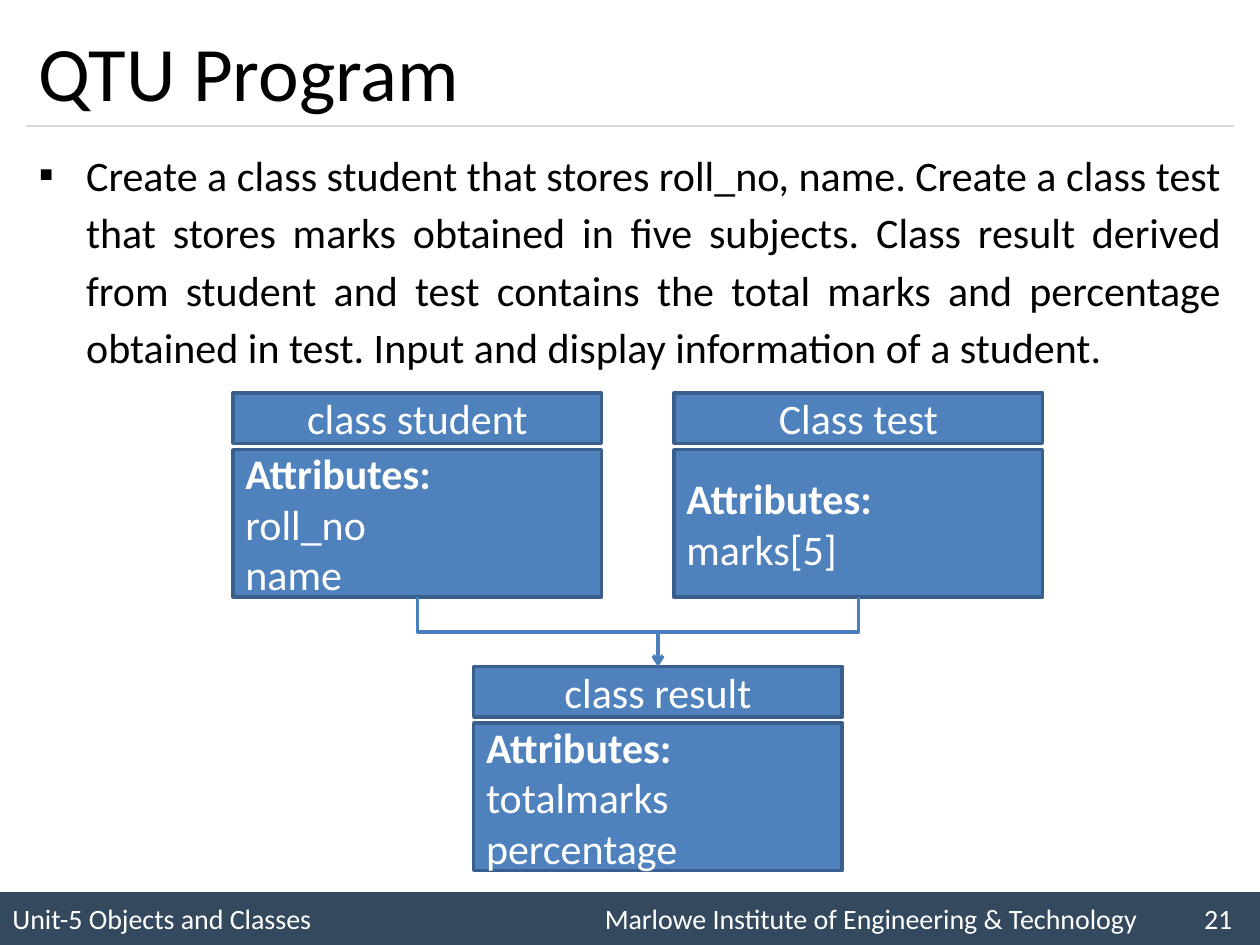
from lxml import etree
from pptx import Presentation
from pptx import util as u
from pptx.dml.color import RGBColor
from pptx.enum import shapes, text
from pptx.oxml import ns

Pt = u.Pt
COLORS = {
    "ink": "000000", "paper": "FFFFFF", "bar": "34495E", "rule": "D9D9D9",
    "box": "4F81BD", "border": "3A5F8C", "link": "4B7EBC",
}
MARGIN, CONTENT_WIDTH = 15.1, 689.8
BOX_WIDTH, HEADER_HEIGHT, BODY_HEIGHT, BODY_OFFSET = 210.6, 28.8, 84.2, 32.4
PARENT_TOP, RESULT_TOP = 224.6, 380.9


def rgb(name):
    return RGBColor.from_string(COLORS[name])


def child(parent, tag, **attributes):
    return etree.SubElement(parent, ns.qn(tag), **attributes)


def style(paragraph, size, color, bold=False):
    for run in paragraph.runs:
        run.font.name = "Calibri"
        run.font.size = Pt(size)
        run.font.color.rgb = rgb(color)
        run.font.bold = bold


def add_text(slide, top, height, content, size, anchor):
    area = slide.shapes.add_textbox(Pt(MARGIN), Pt(top), Pt(CONTENT_WIDTH), Pt(height))
    frame = area.text_frame
    frame.word_wrap = True
    frame.vertical_anchor = anchor
    frame.text = content
    style(frame.paragraphs[0], size, "ink")
    return frame.paragraphs[0]


def add_question(slide, content):
    question = add_text(slide, 77.8, 149.8, content, 24, text.MSO_ANCHOR.TOP)
    question.alignment = text.PP_ALIGN.JUSTIFY
    question.line_spacing = 1.14
    question.space_before = Pt(4.8)
    properties = question._p.get_or_add_pPr()
    properties.set("marL", str(Pt(27)))
    properties.set("indent", str(-Pt(27)))
    child(properties, "a:buFont", typeface="Wingdings")
    properties[-1].set("typeface", "Calibri")
    child(properties, "a:buChar", char="▪")


def add_block(slide, left, top, width, height, fill, border=None):
    block = slide.shapes.add_shape(
        shapes.MSO_SHAPE.RECTANGLE, Pt(left), Pt(top), Pt(width), Pt(height))
    block.shadow.inherit = False
    block.fill.solid()
    block.fill.fore_color.rgb = rgb(fill)
    if border:
        block.line.color.rgb = rgb(border)
        block.line.width = Pt(2)
    else:
        block.line.fill.background()
    block.text_frame.word_wrap = True
    block.text_frame.vertical_anchor = text.MSO_ANCHOR.MIDDLE
    return block.text_frame


def add_class(slide, left, top, title, attributes):
    body = add_block(slide, left, top + BODY_OFFSET, BOX_WIDTH, BODY_HEIGHT, "box", "border")
    body.text = "\n".join(["Attributes:"] + attributes)
    for index, paragraph in enumerate(body.paragraphs):
        paragraph.alignment = text.PP_ALIGN.LEFT
        style(paragraph, 24, "paper", bold=index == 0)
    header = add_block(slide, left, top, BOX_WIDTH, HEADER_HEIGHT, "box", "border")
    header.text = title
    header.paragraphs[0].alignment = text.PP_ALIGN.CENTER
    style(header.paragraphs[0], 24, "paper")


def add_line(slide, kind, start, end, color, width):
    line = slide.shapes.add_connector(kind, *(Pt(value) for value in start + end))
    line.line.color.rgb = rgb(color)
    line.line.width = Pt(width)
    child(line._element.spPr, "a:effectLst")
    return line


def add_inheritance(slide, parent_left, result_left):
    x1, x2 = parent_left + BOX_WIDTH / 2, result_left + BOX_WIDTH / 2
    y1, y2 = PARENT_TOP + BODY_OFFSET + BODY_HEIGHT, RESULT_TOP
    middle_x, middle_y = (x1 + x2) / 2, (y1 + y2) / 2
    half_run, half_drop = abs(x2 - x1) / 2, (y2 - y1) / 2
    side = 1 if x1 < x2 else -1
    link = add_line(
        slide, shapes.MSO_CONNECTOR.ELBOW,
        (middle_x + side * half_drop, middle_y - half_run),
        (middle_x - side * half_drop, middle_y + half_run), "link", 2)
    quarter_turns = 3 if side == 1 else 1
    link._element.spPr.find(ns.qn("a:xfrm")).set("rot", str(quarter_turns * 5400000))
    child(link.line._get_or_add_ln(), "a:tailEnd", type="arrow")


def add_footer(slide, unit, institute, number):
    footer = add_block(slide, 0, 509.8, 720, 30.2, "bar")
    footer.text = "\t".join([unit, institute, number])
    footer.paragraphs[0].alignment = text.PP_ALIGN.LEFT
    style(footer.paragraphs[0], 16, "paper")
    stops = child(footer.paragraphs[0]._p.get_or_add_pPr(), "a:tabLst")
    for position in (338.5, 681):
        child(stops, "a:tab", pos=str(Pt(position)), algn="l")


def main():
    deck = Presentation()
    deck.slide_width, deck.slide_height = Pt(720), Pt(540)
    slide = deck.slides.add_slide(deck.slide_layouts[6])

    add_footer(slide, "Unit-5 Objects and Classes",
               "Marlowe Institute of Engineering & Technology", "21")
    add_line(slide, shapes.MSO_CONNECTOR.STRAIGHT,
             (MARGIN, 72), (MARGIN + CONTENT_WIDTH, 72), "rule", 0.75)
    add_text(slide, 8.6, 63.4, "QTU Program", 44, text.MSO_ANCHOR.MIDDLE)
    add_question(
        slide,
        "Create a class student that stores roll_no, name. Create a class test "
        "that stores marks obtained in five subjects. Class result derived from "
        "student and test contains the total marks and percentage obtained in "
        "test. Input and display information of a student.")

    student_left, test_left, result_left = 133.2, 385.2, 270.7
    add_class(slide, student_left, PARENT_TOP, "class student", ["roll_no", "name"])
    add_class(slide, test_left, PARENT_TOP, "Class test", ["marks[5]"])
    add_class(slide, result_left, RESULT_TOP, "class result", ["totalmarks", "percentage"])
    for parent_left in (test_left, student_left):
        add_inheritance(slide, parent_left, result_left)

    deck.save("out.pptx")


if __name__ == "__main__":
    main()
